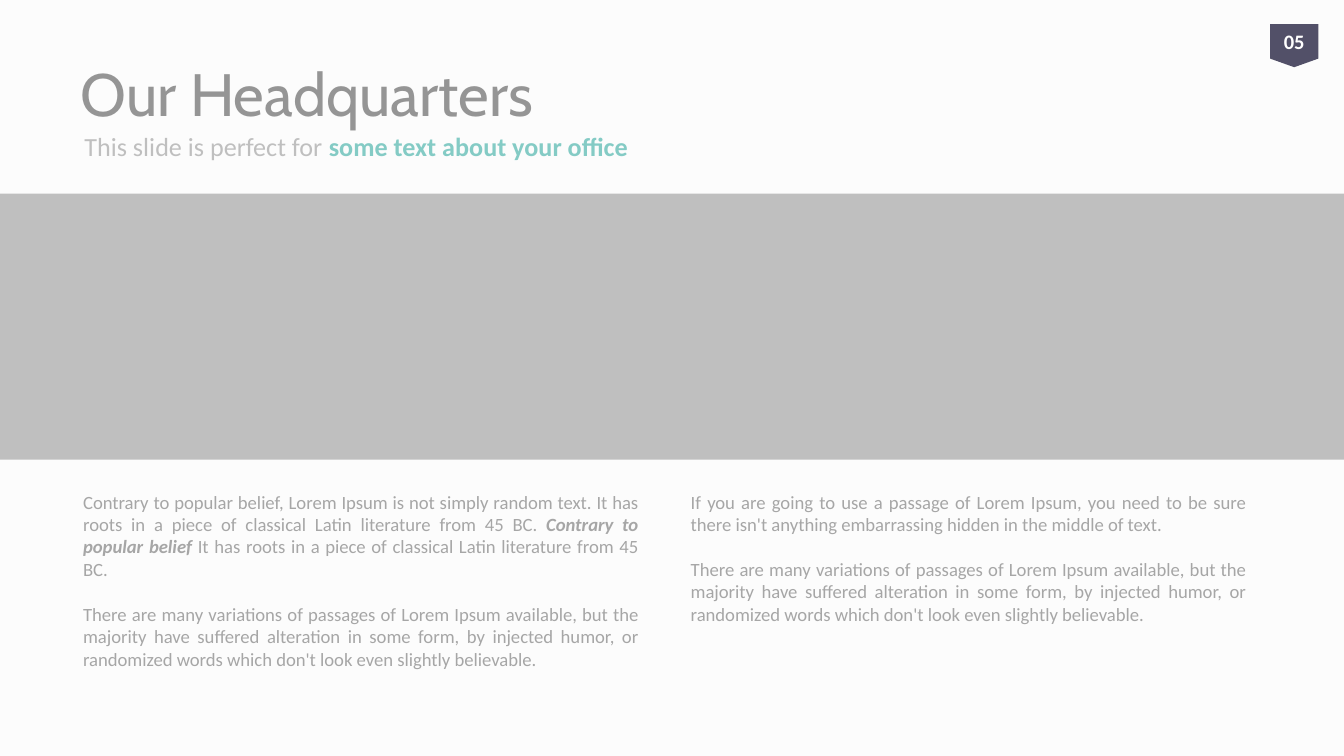
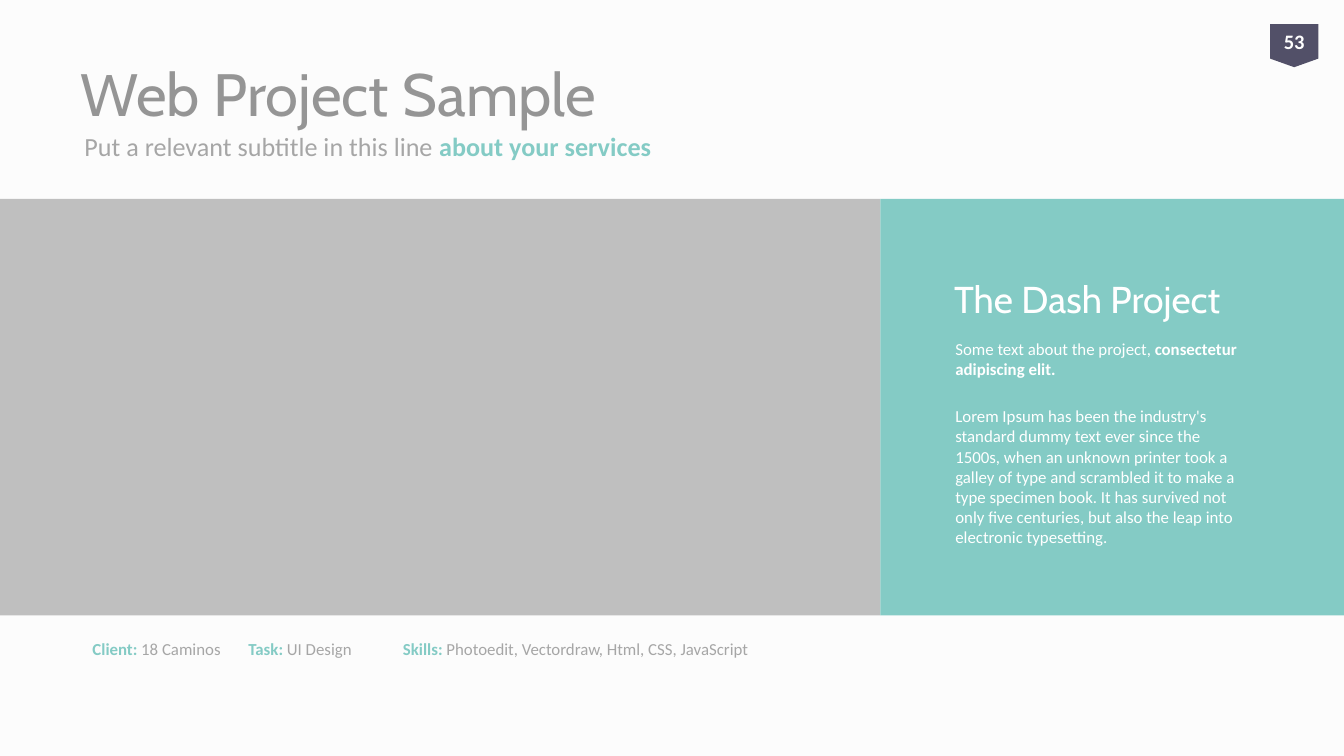
from dataclasses import dataclass
from typing import Any

from pptx import Presentation
from pptx.dml.color import RGBColor
from pptx.enum.shapes import MSO_SHAPE as Preset
from pptx.enum.text import MSO_ANCHOR as Anchor, MSO_AUTO_SIZE as AutoSize, PP_ALIGN as Align
from pptx.util import Inches, Pt

COLORS = {
    "paper": "FCFCFC",
    "white": "FFFFFF",
    "title": "959595",
    "body": "A6A6A6",
    "pale": "BFBFBF",
    "accent": "84CBC5",
    "badge": "525068",
}
HEADING_FONT, BODY_FONT = "Cabin", "Calibri"
TITLE_ONLY = 5
PAGE_WIDTH = 10
PAGE_HEIGHT = PAGE_WIDTH * 9 / 16


@dataclass(frozen=True)
class Box:
    left: float
    top: float
    width: float
    height: float

    def inches(self) -> tuple:
        return tuple(Inches(n) for n in (self.left, self.top, self.width, self.height))


@dataclass(frozen=True)
class Span:
    text: str
    color: str
    bold: bool = False
    italic: bool = False


@dataclass(frozen=True)
class Para:
    spans: tuple[Span, ...]
    before: float = 0


@dataclass(frozen=True)
class Fact:
    label: str
    value: str
    width: float


SUBTITLE_BOX = Box(0.53, 0.89, 9, 0.4)
BADGE_BOX = Box(9.45, 0.18, 0.36, 0.32)


def rgb(name: str) -> RGBColor:
    return RGBColor.from_string(COLORS[name])


def apply(target: Any, formats: dict[str, Any]) -> None:
    for key, value in formats.items():
        setattr(target, key, value)


# Text and shape helpers
def write(frame: Any, paras: list[Para], size: float, font: str = BODY_FONT,
          align: Align = Align.LEFT, **frame_formats: Any) -> None:
    apply(frame, {"word_wrap": True, "auto_size": AutoSize.NONE,
                  "vertical_anchor": Anchor.TOP} | frame_formats)
    for index, para in enumerate(paras):
        line = frame.paragraphs[0] if index == 0 else frame.add_paragraph()
        apply(line, {"alignment": align, "space_before": Pt(para.before)})
        for span in para.spans:
            run = line.add_run()
            run.text = span.text
            apply(run.font, {"name": font, "size": Pt(size),
                             "bold": span.bold, "italic": span.italic})
            run.font.color.rgb = rgb(span.color)


def add_text(shapes: Any, box: Box, paras: list[Para], size: float, **formats: Any) -> Any:
    frame = shapes.add_textbox(*box.inches()).text_frame
    write(frame, paras, size, **formats)
    return frame


def add_block(slide: Any, box: Box, color: str, preset: Preset = Preset.RECTANGLE) -> Any:
    block = slide.shapes.add_shape(preset, *box.inches())
    block.shadow.inherit = False
    block.fill.solid()
    block.fill.fore_color.rgb = rgb(color)
    block.line.fill.background()
    return block


# Title, subtitle and page badge shared by the slides
def add_page(prs: Any, heading: str, heading_box: Box, subtitle: tuple[Span, ...],
             number: str) -> Any:
    slide = prs.slides.add_slide(prs.slide_layouts[TITLE_ONLY])
    title = slide.shapes.title
    apply(title, dict(zip(("left", "top", "width", "height"), heading_box.inches())))
    write(title.text_frame, [Para((Span(heading, "title"),))], 32, HEADING_FONT,
          vertical_anchor=Anchor.MIDDLE)
    add_text(slide.shapes, SUBTITLE_BOX, [Para(subtitle)], 14, vertical_anchor=Anchor.MIDDLE)
    badge = add_block(slide, BADGE_BOX, "badge", Preset.FLOWCHART_OFFPAGE_CONNECTOR)
    write(badge.text_frame, [Para((Span(number, "white", bold=True),))], 11,
          align=Align.CENTER, vertical_anchor=Anchor.MIDDLE, margin_left=0, margin_right=0)
    return slide


def build_headquarters(prs: Any) -> None:
    slide = add_page(prs, "Our Headquarters", Box(0.5, 0.37, 9, 0.64),
                     (Span("This slide is perfect for ", "pale"),
                      Span("some text about your office", "accent", bold=True)), "05")
    add_block(slide, Box(0, 1.44, PAGE_WIDTH, 1.98), "pale")

    # Two-column office text
    roots = "It has roots in a piece of classical Latin literature from 45 BC."
    variations = Span(
        "There are many variations of passages of Lorem Ipsum available, but the majority "
        "have suffered alteration in some form, by injected humor, or randomized words "
        "which don't look even slightly believable.", "body")
    advice = Span(
        "If you are going to use a passage of Lorem Ipsum, you need to be sure there isn't "
        "anything embarrassing hidden in the middle of text.", "body")
    belief = (
        Span(f"Contrary to popular belief, Lorem Ipsum is not simply random text. {roots} ",
             "body"),
        Span("Contrary to popular belief ", "body", bold=True, italic=True),
        Span(roots, "body"),
    )
    office_text = add_text(
        slide.shapes, Box(0.52, 3.6, 8.91, 1.47),
        [Para(belief), Para((variations,), 12), Para((advice,)), Para((variations,), 12)],
        10, align=Align.JUSTIFY, margin_right=Inches(0.16), margin_bottom=Inches(0.04))
    columns = office_text._txBody.bodyPr
    columns.set("numCol", "2")
    columns.set("spcCol", str(Inches(0.39)))


def build_web_project(prs: Any) -> None:
    slide = add_page(prs, "Web Project Sample", Box(0.5, 0.4, 9, 0.58),
                     (Span("Put a relevant subtitle in this line ", "body"),
                      Span("about your services", "accent", bold=True)), "53")
    split = 6.55
    add_block(slide, Box(0, 1.48, split, 3.1), "pale")
    add_block(slide, Box(split, 1.48, PAGE_WIDTH - split, 3.1), "accent")

    # Project description
    add_text(slide.shapes, Box(7, 1.93, 2.29, 0.58),
             [Para((Span("The Dash Project", "white"),))], 20,
             font=HEADING_FONT, vertical_anchor=Anchor.MIDDLE)
    summary = (Span("Some text about the project, ", "white"),
               Span("consectetur adipiscing elit.", "white", bold=True))
    history = Span(
        "Lorem Ipsum has been the industry's standard dummy text ever since the 1500s, when "
        "an unknown printer took a galley of type and scrambled it to make a type specimen "
        "book. It has survived not only five centuries, but also the leap into electronic "
        "typesetting.", "white")
    add_text(slide.shapes, Box(7.01, 2.47, 2.32, 1.95),
             [Para(summary, 1.8), Para((history,), 14.4)], 9)

    # Project facts, side by side
    facts = [
        Fact("Client", "18 Caminos", 1.16),
        Fact("Task", "UI Design", 1.15),
        Fact("Skills", "Photoedit, Vectordraw, Html, CSS, JavaScript", 3.12),
    ]
    fact_row = slide.shapes.add_group_shape().shapes
    left = 0.59
    for fact in facts:
        add_text(fact_row, Box(left, 4.7, fact.width, 0.25),
                 [Para((Span(f"{fact.label}: ", "accent", bold=True),
                        Span(fact.value, "body")))], 9)
        left += fact.width


def main() -> None:
    prs = Presentation()
    apply(prs, {"slide_width": Inches(PAGE_WIDTH), "slide_height": Inches(PAGE_HEIGHT)})
    backdrop = prs.slide_master.background.fill
    backdrop.solid()
    backdrop.fore_color.rgb = rgb("paper")
    build_headquarters(prs)
    build_web_project(prs)
    prs.save("out.pptx")


if __name__ == "__main__":
    main()
